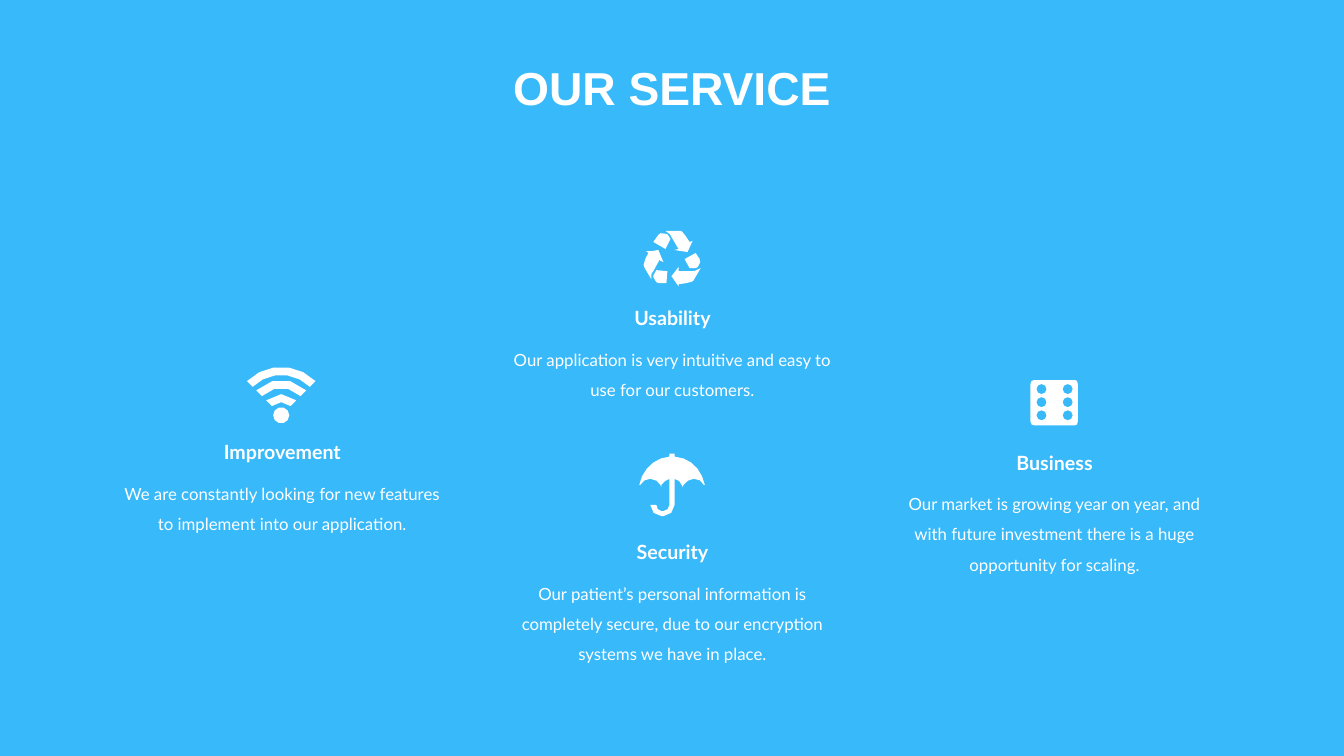
"""Build the "Our service" slide with four icon features."""
import math

import pptx
import pptx.dml.color
import pptx.enum.shapes
import pptx.enum.text
import pptx.util

Inches = pptx.util.Inches
SKY = pptx.dml.color.RGBColor(0x38, 0xB9, 0xFA)
WHITE = pptx.dml.color.RGBColor(0xFF, 0xFF, 0xFF)

COLUMN_WIDTH = 3.36
FEATURES = [
    (1.12, 4.32, 1.39, 0.63, "Improvement",
     "We are constantly looking for new features to implement into our application."),
    (4.99, 2.99, 0.98, 0.63, "Usability",
     "Our application is very intuitive and easy to use for our customers."),
    (4.99, 5.31, 0.93, 0.63, "Security",
     "Our patient’s personal information is completely secure, due to our encryption "
     "systems we have in place."),
    (8.78, 4.42, 0.96, 0.54, "Business",
     "Our market is growing year on year, and with future investment there is a huge "
     "opportunity for scaling."),
]

RECYCLE = [
    [(6.86, 2.69), (6.73, 2.69), (6.73, 2.65), (6.66, 2.74), (6.73, 2.84), (6.73, 2.82),
     (6.8, 2.81), (6.86, 2.81, 6.88, 2.78, 6.88, 2.78), (6.95, 2.66),
     (6.92, 2.69, 6.86, 2.69, 6.86, 2.69)],
    [(6.65, 2.37), (6.63, 2.32, 6.61, 2.32, 6.61, 2.32),
     (6.56, 2.29, 6.53, 2.33, 6.53, 2.33), (6.48, 2.4), (6.6, 2.47)],
    [(6.75, 2.49), (6.82, 2.5), (6.87, 2.39), (6.84, 2.4), (6.8, 2.34),
     (6.77, 2.29, 6.75, 2.29, 6.75, 2.29), (6.6, 2.29),
     (6.64, 2.3, 6.66, 2.35, 6.66, 2.35), (6.73, 2.47), (6.69, 2.48)],
    [(6.48, 2.75), (6.48, 2.8, 6.54, 2.81, 6.54, 2.81), (6.61, 2.81), (6.62, 2.69),
     (6.51, 2.68), (6.47, 2.73, 6.48, 2.75, 6.48, 2.75)],
    [(6.46, 2.77), (6.44, 2.73, 6.48, 2.69, 6.48, 2.69), (6.54, 2.58), (6.58, 2.6),
     (6.53, 2.48), (6.47, 2.49), (6.41, 2.49), (6.43, 2.51), (6.4, 2.57),
     (6.37, 2.62, 6.39, 2.65, 6.39, 2.65)],
    [(6.9, 2.51), (6.79, 2.57), (6.84, 2.66), (6.9, 2.67, 6.92, 2.65, 6.92, 2.65),
     (6.96, 2.63, 6.94, 2.57, 6.94, 2.57)],
]
UMBRELLA = [
    [(6.99, 4.81), (6.96, 4.66, 6.85, 4.54, 6.69, 4.53), (6.69, 4.5), (6.64, 4.5),
     (6.64, 4.53), (6.49, 4.54, 6.37, 4.66, 6.34, 4.81), (6.35, 4.81),
     (6.37, 4.77, 6.41, 4.75, 6.45, 4.75), (6.5, 4.75, 6.53, 4.78, 6.55, 4.81),
     (6.56, 4.83), (6.56, 4.81), (6.58, 4.78, 6.61, 4.76, 6.64, 4.75), (6.64, 5.01),
     (6.64, 5.04, 6.61, 5.07, 6.58, 5.07), (6.56, 5.07),
     (6.53, 5.07, 6.51, 5.04, 6.51, 5.01), (6.45, 5.01),
     (6.45, 5.07, 6.5, 5.12, 6.56, 5.12), (6.58, 5.12),
     (6.64, 5.12, 6.69, 5.07, 6.69, 5.01), (6.69, 4.75),
     (6.73, 4.76, 6.75, 4.78, 6.76, 4.81), (6.77, 4.83), (6.78, 4.81),
     (6.8, 4.78, 6.84, 4.75, 6.88, 4.75), (6.93, 4.75, 6.96, 4.77, 6.98, 4.81)],
]
DIE_BODY = [
    (10.66, 3.77), (10.26, 3.77), (10.24, 3.77, 10.22, 3.78, 10.22, 3.81), (10.22, 4.18),
    (10.22, 4.21, 10.24, 4.22, 10.26, 4.22), (10.66, 4.22),
    (10.68, 4.22, 10.69, 4.21, 10.69, 4.18), (10.69, 3.81),
    (10.69, 3.78, 10.68, 3.77, 10.66, 3.77),
]


def arc(x, y, radius, start, end, steps):
    """Return points on an arc, with angles in degrees."""
    angles = [math.radians(start + (end - start) * i / steps) for i in range(steps + 1)]
    return [(x + radius * math.cos(a), y + radius * math.sin(a)) for a in angles]


def circle(x, y, radius, sides):
    """Return the corners of a many-sided circle."""
    return arc(x, y, radius, 0, 360, sides)[:-1]


def flatten(contour):
    """Turn line points and cubic curve segments into plain points."""
    points = [contour[0]]
    for segment in contour[1:]:
        if len(segment) == 2:
            points.append(segment)
            continue
        x0, y0 = points[-1]
        x1, y1, x2, y2, x3, y3 = segment
        steps = max(2, round(math.dist((x0, y0), (x3, y3)) / 0.08))
        for i in range(1, steps + 1):
            t = i / steps
            a, b, c, d = (1 - t) ** 3, 3 * t * (1 - t) ** 2, 3 * t * t * (1 - t), t ** 3
            points.append((a * x0 + b * x1 + c * x2 + d * x3,
                           a * y0 + b * y1 + c * y2 + d * y3))
    return points


def wifi():
    """Return the contours of the wireless signal icon."""
    bands = [(0.13, 0.21, 2), (0.27, 0.35, 3), (0.4, 0.48, 5)]
    return [circle(2.79, 4.12, 0.08, 10)] + [
        arc(2.79, 4.12, inner, 225, 315, steps) + arc(2.79, 4.12, outer, 315, 225, steps)
        for inner, outer, steps in bands]


def die():
    """Return the contours of the six-pip die icon."""
    pips = [circle(x, 3.86 + 0.13 * row, 0.05, 8)
            for x in (10.33, 10.59) for row in range(3)]
    return pips + [DIE_BODY]


class Slide:
    """Hold the style and the current page, and draw elements on it."""

    def __init__(self, page):
        """Keep the page to draw on."""
        self.page = page
        self.ink = WHITE

    def paint(self, shape, color):
        """Give a shape a flat fill."""
        shape.shadow.inherit = False
        shape.fill.solid()
        shape.fill.fore_color.rgb = color
        shape.line.fill.background()

    def band(self, top, height):
        """Draw a full-width background band."""
        shape = self.page.shapes.add_shape(
            pptx.enum.shapes.MSO_SHAPE.RECTANGLE,
            0, Inches(top), Inches(13.33), Inches(height))
        self.paint(shape, SKY)

    def icon(self, contours):
        """Draw an icon from closed contours."""
        outlines = [[(Inches(x), Inches(y)) for x, y in flatten(contour)]
                    for contour in contours]
        builder = self.page.shapes.build_freeform(*outlines[0][0])
        for index, outline in enumerate(outlines):
            if index:
                builder.move_to(*outline[0])
            builder.add_line_segments(outline[1:], close=True)
        self.paint(builder.convert_to_shape(), self.ink)

    def text(self, at, words, size, font="Lato", bold=False, spacing=None,
             wrap=True, inset=(0.07, 0.03)):
        """Write one centred paragraph."""
        frame = self.page.shapes.add_textbox(*map(Inches, at)).text_frame
        frame.word_wrap = wrap
        frame.margin_left = frame.margin_right = Inches(inset[0])
        frame.margin_top = frame.margin_bottom = Inches(inset[1])
        para = frame.paragraphs[0]
        para.text = words
        para.alignment = pptx.enum.text.PP_ALIGN.CENTER
        para.line_spacing = spacing
        para.font.name = font
        para.font.size = pptx.util.Pt(size)
        para.font.bold = bold
        para.font.color.rgb = self.ink

    def feature(self, left, top, label_width, height, label, body):
        """Write a feature label with its description below."""
        label_left = left + (COLUMN_WIDTH - label_width) / 2
        self.text((label_left, top, label_width, 0.34), label, 14, bold=True,
                  wrap=False, inset=(0.1, 0.05))
        self.text((left, top + 0.35, COLUMN_WIDTH, height), body, 12, spacing=1.5)


def main():
    """Build and save the deck."""
    deck = pptx.Presentation()
    deck.slide_width, deck.slide_height = Inches(13.33), Inches(7.5)
    slide = Slide(deck.slides.add_slide(deck.slide_layouts[6]))
    slide.band(0, 7.4)
    slide.band(7.4, 0.1)
    for feature in FEATURES:
        slide.feature(*feature)
    for contours in (die(), wifi(), RECYCLE, UMBRELLA):
        slide.icon(contours)
    slide.text((4.66, 0.56, 4.01, 1.23), "OUR SERVICE", 33, font="Arial", bold=True)
    deck.save("out.pptx")


if __name__ == "__main__":
    main()
